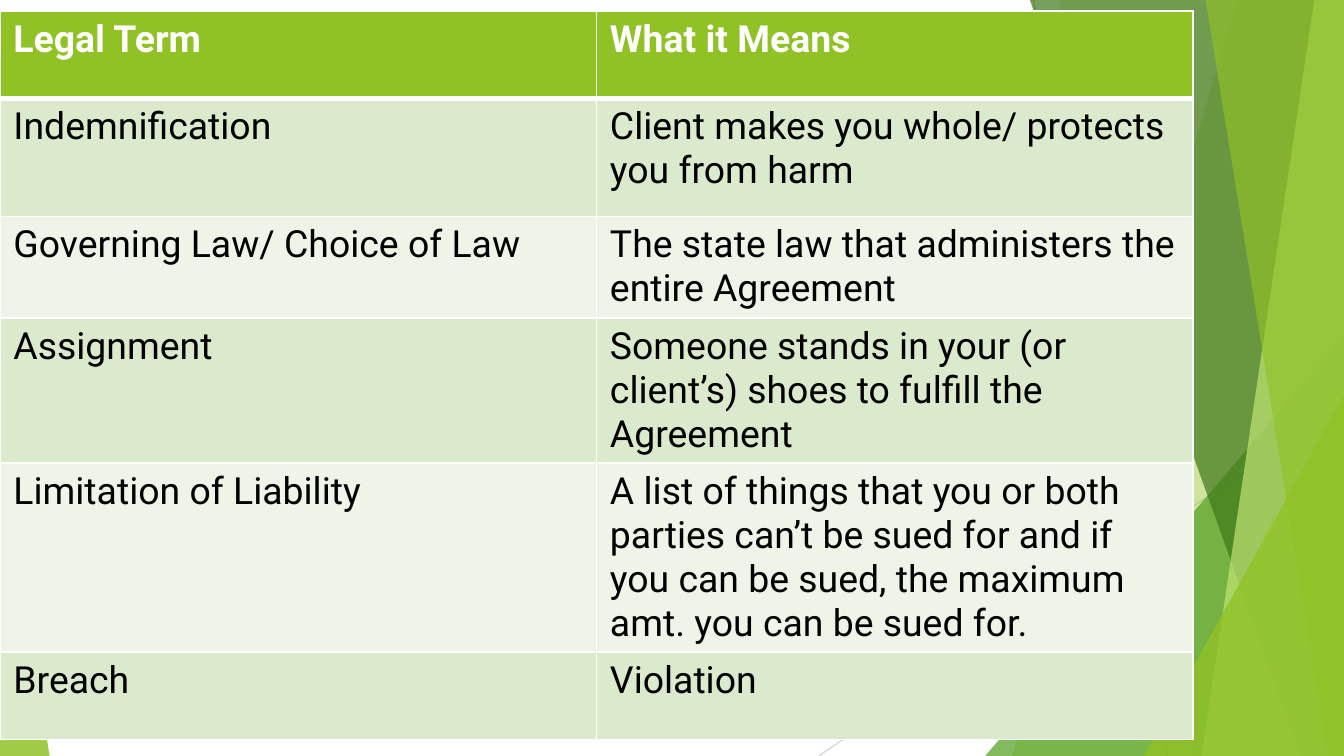
from dataclasses import dataclass

from lxml.etree import SubElement
from pptx import Presentation
from pptx.dml.color import RGBColor
from pptx.enum.shapes import MSO_CONNECTOR, MSO_SHAPE
from pptx.oxml.ns import qn
from pptx.util import Pt


@dataclass(frozen=True)
class Theme:
    font: str = "Roboto"
    text_size: int = 20
    white: str = "FFFFFF"
    black: str = "000000"
    lime: str = "90C226"
    leaf: str = "54A021"
    forest: str = "3F7819"
    pale_lime: str = "C0E474"
    odd_row: str = "DBE9CD"
    even_row: str = "EEF4E8"
    steep_line: str = "BFBFBF"
    shallow_line: str = "D9D9D9"


THEME = Theme()
WIDTH, HEIGHT = 720, 405
FACET_TOP = -0.6

TERMS = [
    ("Legal Term", "What it Means"),
    ("Indemnification", "Client makes you whole/ protects you from harm"),
    ("Governing Law/ Choice of Law",
     "The state law that administers the entire Agreement"),
    ("Assignment",
     "Someone stands in your (or client’s) shoes to fulfill the Agreement"),
    ("Limitation of Liability",
     "A list of things that you or both parties can’t be sued for and if "
     "you can be sued, the maximum amt. you can be sued for."),
    ("Breach", "Violation"),
]
ROW_HEIGHTS = [46.8, 63.4, 53.6, 77.2, 100.4, 46.8]
COLUMN_WIDTH = 319.6
TABLE_TOP = 5.8


def rgb(color):
    return RGBColor.from_string(color)


def paint(shape, color, opacity):
    """Give a shape a see-through fill without outline or shadow."""
    shape.shadow.inherit = False
    shape.line.fill.background()
    shape.fill.solid()
    shape.fill.fore_color.rgb = rgb(color)
    fill_color = next(shape._element.iter(qn("a:srgbClr")))
    SubElement(fill_color, qn("a:alpha"), val=str(opacity * 1000))


def add_line(slide, start, end, color):
    ends = [Pt(value) for value in (*start, *end)]
    line = slide.shapes.add_connector(MSO_CONNECTOR.STRAIGHT, *ends)
    line.line.color.rgb = rgb(color)
    line.line.width = Pt(0.75)
    SubElement(line._element.spPr, qn("a:effectLst"))


def add_facet(slide, top_x, bottom_x, color, opacity):
    """Fill from a slanted edge to the right side of the slide."""
    corners = [(WIDTH, FACET_TOP), (WIDTH, HEIGHT), (bottom_x, HEIGHT)]
    outline = slide.shapes.build_freeform(Pt(top_x), Pt(FACET_TOP), scale=1.0)
    outline.add_line_segments([(Pt(x), Pt(y)) for x, y in corners], close=True)
    paint(outline.convert_to_shape(), color, opacity)


def add_corner(slide, left, top, width, apex, color, opacity):
    """Stand a right triangle on the bottom edge; apex is 0 left to 1 right."""
    box = [Pt(value) for value in (left, top, width, HEIGHT - top)]
    corner = slide.shapes.add_shape(MSO_SHAPE.ISOSCELES_TRIANGLE, *box)
    corner.adjustments[0] = apex
    paint(corner, color, opacity)


def add_backdrop(slide):
    add_line(slide, (553.7, 0), (625.7, HEIGHT), THEME.steep_line)
    add_line(slide, (WIDTH, 217.4), (438.5, HEIGHT), THEME.shallow_line)
    add_facet(slide, 663.1, 542.2, THEME.lime, 30)
    add_facet(slide, 567.4, 638.6, THEME.lime, 20)
    add_corner(slide, 527.8, 180, 192.2, 1, THEME.leaf, 72)
    add_facet(slide, 551.5, 697, THEME.forest, 70)
    add_facet(slide, 704.2, 643.7, THEME.pale_lime, 70)
    add_facet(slide, 645.8, 711.4, THEME.lime, 65)
    add_corner(slide, 612.7, 211.7, 107.3, 1, THEME.lime, 80)
    add_corner(slide, 0, 236.9, 26.6, 0, THEME.lime, 85)


def add_borders(cell, widths):
    properties = cell._tc.get_or_add_tcPr()
    for side, width in widths.items():
        border = SubElement(properties, qn(f"a:ln{side}"), w=str(Pt(width)))
        solid = SubElement(border, qn("a:solidFill"))
        SubElement(solid, qn("a:srgbClr"), val=THEME.white)


def fill_cell(cell, text, row):
    header = row == 0
    add_borders(cell, {"L": 1, "R": 1, "T": 3 if row == 1 else 1,
                       "B": 3 if header else 1})
    band = THEME.odd_row if row % 2 else THEME.even_row
    cell.fill.solid()
    cell.fill.fore_color.rgb = rgb(THEME.lime if header else band)
    run = cell.text_frame.paragraphs[0].add_run()
    run.text = text
    run.font.color.rgb = rgb(THEME.white if header else THEME.black)
    text_format = {"name": THEME.font, "size": Pt(THEME.text_size),
                   "bold": header}
    for attribute, value in text_format.items():
        setattr(run.font, attribute, value)


def add_glossary(slide):
    columns = len(TERMS[0])
    glossary = slide.shapes.add_table(
        len(TERMS), columns, Pt(0), Pt(TABLE_TOP),
        Pt(columns * COLUMN_WIDTH), Pt(sum(ROW_HEIGHTS))).table
    for column in glossary.columns:
        column.width = Pt(COLUMN_WIDTH)
    for row, (entry, height) in enumerate(zip(TERMS, ROW_HEIGHTS)):
        glossary.rows[row].height = Pt(height)
        for column, text in enumerate(entry):
            fill_cell(glossary.cell(row, column), text, row)


def main():
    deck = Presentation()
    deck.slide_width, deck.slide_height = Pt(WIDTH), Pt(HEIGHT)
    slide = deck.slides.add_slide(deck.slide_layouts[6])
    add_backdrop(slide)
    add_glossary(slide)
    deck.save("out.pptx")


if __name__ == "__main__":
    main()
